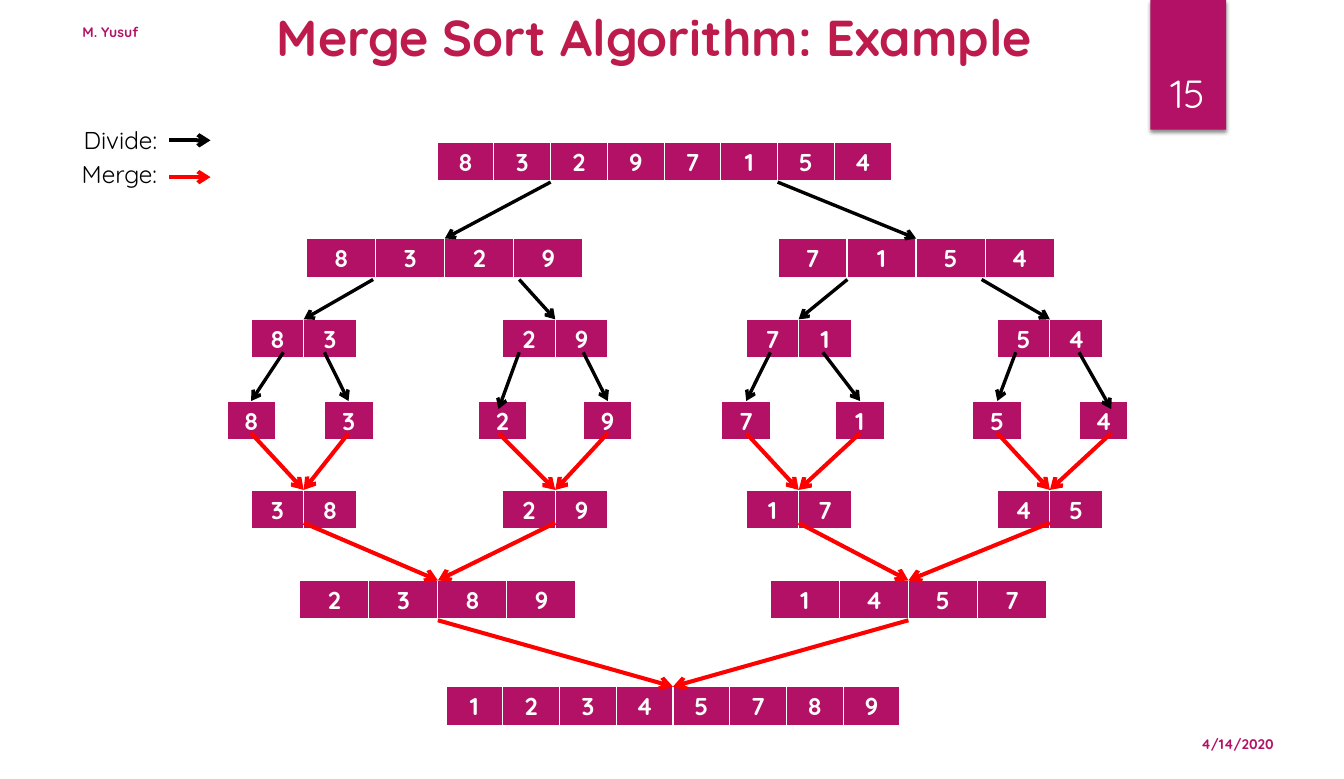
from lxml import etree
from pptx import Presentation
from pptx.dml.color import RGBColor
from pptx.enum.shapes import MSO_CONNECTOR, MSO_SHAPE
from pptx.enum.text import MSO_ANCHOR, PP_ALIGN
from pptx.oxml.ns import qn
from pptx.util import Cm, Pt

STRAIGHT = MSO_CONNECTOR.STRAIGHT
RECTANGLE = MSO_SHAPE.RECTANGLE
MIDDLE, BOTTOM = MSO_ANCHOR.MIDDLE, MSO_ANCHOR.BOTTOM
TOP = MSO_ANCHOR.TOP
LEFT, CENTER, RIGHT = PP_ALIGN.LEFT, PP_ALIGN.CENTER, PP_ALIGN.RIGHT

FONT = "Quicksand"
MAGENTA, CRIMSON, RED = "B31166", "BD1B4C", "FF0000"
BLACK, WHITE = "000000", "FFFFFF"

ROW_HEIGHT = 1.04
CELL_WIDTHS = {8: 1.48, 4: 1.8, 2: 1.37, 1: 1.27}  # by number of cells
PAIR_LEFTS = [0.63, 7.19, 13.54, 20.09]
LEAF_LEFTS = [0, 2.54, 6.55, 9.29, 12.9, 15.87, 19.45, 22.22]
LEAF_TIPS = [0.63, 3.17, 7.08, 9.93, 13.54, 16.51, 20.09, 23.06]


def color(value):
    return RGBColor.from_string(value)


def add_run(paragraph, text, size, fill, bold=False):
    run = paragraph.add_run()
    run.text = text
    run.font.name = FONT
    run.font.size = Pt(size)
    run.font.bold = bold
    run.font.color.rgb = color(fill)


def add_text(shapes, box, text, size, fill, bold=False, align=LEFT, anchor=MIDDLE, wrap=True):
    frame = shapes.add_textbox(*(Cm(length) for length in box)).text_frame
    frame.word_wrap = wrap
    frame.vertical_anchor = anchor
    paragraph = frame.paragraphs[0]
    paragraph.alignment = align
    add_run(paragraph, text, size, fill, bold)


def add_arrow(shapes, start, end, stroke, width):
    arrow = shapes.add_connector(STRAIGHT, *(Cm(length) for length in (*start, *end)))
    arrow.line.color.rgb = color(stroke)
    arrow.line.width = Pt(width)
    properties = arrow._element.spPr
    etree.SubElement(properties.find(qn("a:ln")), qn("a:tailEnd"), type="arrow")
    etree.SubElement(properties, qn("a:effectLst"))


def add_arrows(slide, box, starts, ends, top, bottoms, stroke, width):
    """Draw one arrow for each start, end and bottom, all measured from the box corner."""
    left, box_top = box
    for start, end, bottom in zip(starts, ends, bottoms):
        add_arrow(slide.shapes, (left + start, box_top + top),
                  (left + end, box_top + bottom), stroke, width)


def add_borders(cell):
    properties = cell._tc.get_or_add_tcPr()
    for side, width in (("L", 1), ("R", 1), ("T", 1), ("B", 3)):
        line = etree.SubElement(properties, qn(f"a:ln{side}"), w=str(Pt(width)))
        fill = etree.SubElement(line, qn("a:solidFill"))
        etree.SubElement(fill, qn("a:srgbClr"), val=WHITE)


def add_array(slide, left, top, digits):
    count = len(digits)
    width = CELL_WIDTHS[count]
    table = slide.shapes.add_table(
        1, count, Cm(left), Cm(top), Cm(width * count), Cm(ROW_HEIGHT)).table
    table.first_row = table.horz_banding = False
    for index, digit in enumerate(digits):
        table.columns[index].width = Cm(width)
        cell = table.cell(0, index)
        add_borders(cell)
        cell.fill.solid()
        cell.fill.fore_color.rgb = color(MAGENTA)
        paragraph = cell.text_frame.paragraphs[0]
        paragraph.alignment = CENTER
        add_run(paragraph, digit, 18, WHITE, True)


def add_level(slide, box, top, lefts, arrays):
    """Place one row of arrays and return the middle of each, measured from the box."""
    for left, digits in zip(lefts, arrays):
        add_array(slide, box[0] + left, box[1] + top, digits)
    return [left + CELL_WIDTHS[len(digits)] * len(digits) / 2
            for left, digits in zip(lefts, arrays)]


def add_divide_tree(slide, left, top):
    box = left, top
    add_level(slide, box, 0, [5.48], ["83297154"])
    halves = add_level(slide, box, 2.51, [2.08, 14.37], ["8329", "7154"])
    pairs = add_level(slide, box, 4.62, PAIR_LEFTS, ["83", "29", "71", "54"])
    add_level(slide, box, 6.75, LEAF_LEFTS, "83297154")

    leaf_starts = [1.47, 2.54, 7.62, 9.29, 14.17, 15.54, 20.57, 22.22]
    leaf_bottoms = [6.96 if index in (2, 7) else 6.75 for index in range(8)]
    for starts, ends, start_top, bottoms in (
            ([8.44, 14.36], halves, 1.04, [2.51] * 2),
            ([3.81, 7.62, 16.18, 19.68], pairs, 3.58, [4.62] * 4),
            (leaf_starts, LEAF_TIPS, 5.48, leaf_bottoms)):
        add_arrows(slide, box, starts, ends, start_top, bottoms, BLACK, 2.5)


def add_merge_tree(slide, left, top):
    box = left, top
    pairs = add_level(slide, box, 1.48, PAIR_LEFTS, ["38", "29", "17", "45"])
    halves = add_level(slide, box, 3.84, [1.9, 14.17], ["2389", "1457"])
    whole = add_level(slide, box, 6.61, [5.71], ["12345789"])

    for starts, targets, start_top, bottom in (
            (LEAF_TIPS, pairs, 0, 1.48),
            (pairs, halves, 2.34, 3.84),
            (halves, whole, 4.88, 6.61)):
        ends = [target for target in targets for _ in range(2)]
        add_arrows(slide, box, starts, ends, start_top, [bottom] * len(ends), RED, 3)


def add_legend(slide, left, top):
    shapes = slide.shapes.add_group_shape().shapes
    for label, indent, label_top, arrow_top, stroke in (
            ("Divide:", 0.05, 0, 0.51, BLACK), ("Merge:", 0, 0.89, 1.47, RED)):
        add_arrow(shapes, (left + 2.54, top + arrow_top),
                  (left + 3.61, top + arrow_top), stroke, 3)
        add_text(shapes, (left + indent, top + label_top, 2.6, 1.02),
                 label, 18, BLACK, anchor=TOP, wrap=False)


def add_page_ribbon(slide, left, top, width, height):
    ribbon = slide.shapes.add_shape(RECTANGLE, Cm(left), Cm(top), Cm(width), Cm(height))
    ribbon.fill.solid()
    ribbon.fill.fore_color.rgb = color(MAGENTA)
    ribbon.line.fill.background()
    ribbon.shadow.inherit = False
    effects = ribbon._element.spPr.find(qn("a:effectLst"))
    shadow = etree.SubElement(effects, qn("a:outerShdw"), blurRad=str(Pt(3)),
                              dist=str(Pt(2)), dir="5400000", rotWithShape="0")
    shade = etree.SubElement(shadow, qn("a:srgbClr"), val=BLACK)
    etree.SubElement(shade, qn("a:alpha"), val="45000")
    add_text(slide.shapes, (left - 0.23, top + 0.86, width + 0.43, 2.29),
             "15", 29, WHITE, align=CENTER, anchor=BOTTOM)


def main():
    presentation = Presentation()
    presentation.slide_width, presentation.slide_height = Cm(35.05), Cm(20.32)
    slide = presentation.slides.add_slide(presentation.slide_layouts[6])
    add_page_ribbon(slide, 30, 0, 1.98, 3.38)
    add_text(slide.shapes, (30.63, 18.95, 2.84, 0.91), "4/14/2020", 10.3, MAGENTA, True, RIGHT)
    add_text(slide.shapes, (1.9, 0.38, 11.1, 0.91), "M. Yusuf", 10.3, MAGENTA, True)
    add_text(slide.shapes, (-0.46, -0.08, 35.05, 2.08),
             "Merge Sort Algorithm: Example", 37.3, CRIMSON, True, CENTER)
    add_divide_tree(slide, 5.92, 3.71)
    add_merge_tree(slide, 5.92, 11.3)
    add_legend(slide, 1.88, 3.15)
    presentation.save("out.pptx")


if __name__ == "__main__":
    main()
